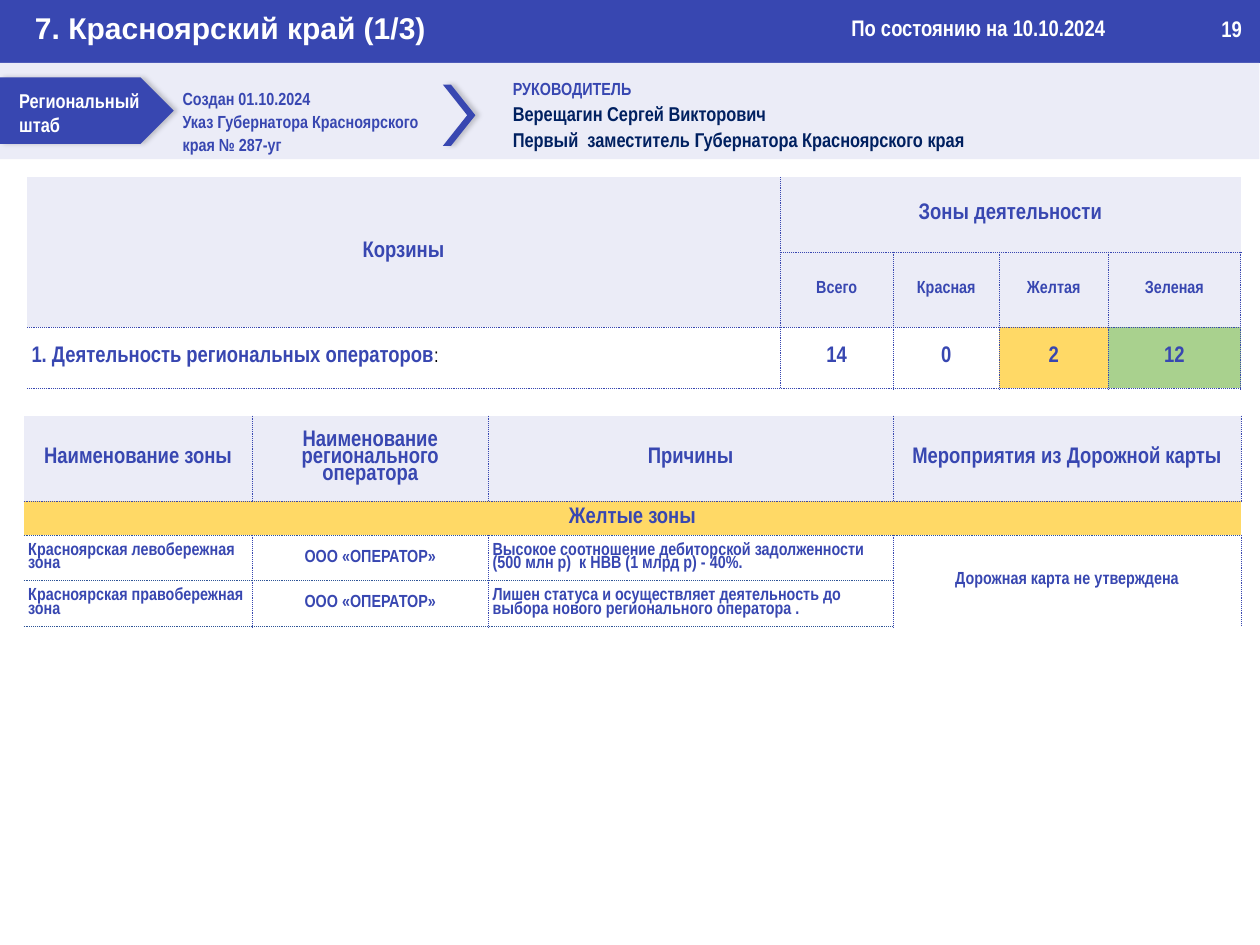
from lxml import etree
from pptx import Presentation
from pptx.dml.color import RGBColor
from pptx.enum.shapes import MSO_SHAPE
from pptx.enum.text import MSO_ANCHOR, PP_ALIGN
from pptx.oxml.ns import qn
from pptx.util import Pt

RECTANGLE = MSO_SHAPE.RECTANGLE
PENTAGON = MSO_SHAPE.PENTAGON
CHEVRON = MSO_SHAPE.CHEVRON
MIDDLE = MSO_ANCHOR.MIDDLE
LEFT, CENTER = PP_ALIGN.LEFT, PP_ALIGN.CENTER

COLORS = {
    "blue": "3847B1",
    "rule": "2F5597",
    "navy": "002060",
    "pale": "EBECF7",
    "yellow": "FFD966",
    "green": "A9D18E",
    "white": "FFFFFF",
    "black": "000000",
}
NARROW = "Arial Narrow"


def rgb(name):
    return RGBColor.from_string(COLORS[name])


def style_font(font, size, color, bold=True, name=NARROW):
    font.size = Pt(size)
    font.bold = bold
    font.name = name
    font.color.rgb = rgb(color)


def add_block(slide, kind, box, color, shadow=False):
    shape = slide.shapes.add_shape(kind, *map(Pt, box))
    shape.shadow.inherit = False
    shape.fill.solid()
    shape.fill.fore_color.rgb = rgb(color)
    shape.line.fill.background()
    if shadow:
        effects = shape._element.spPr.find(qn("a:effectLst"))
        outer = etree.SubElement(effects, qn("a:outerShdw"), blurRad=str(Pt(4)),
                                 dist=str(Pt(3)), dir="0", algn="l", rotWithShape="0")
        tint = etree.SubElement(outer, qn("a:srgbClr"), val=COLORS["black"])
        etree.SubElement(tint, qn("a:alpha"), val="20000")
    return shape


def add_text(slide, box, lines, spacing=None, name=NARROW, inset=7.2):
    frame = slide.shapes.add_textbox(*map(Pt, box)).text_frame
    frame.word_wrap = True
    frame.margin_left = Pt(inset)
    for index, (text, size, color) in enumerate(lines):
        paragraph = frame.add_paragraph() if index else frame.paragraphs[0]
        paragraph.text = text
        style_font(paragraph.font, size, color, name=name)
        if spacing:
            paragraph.line_spacing = spacing


def set_border(cell, side, color):
    properties = cell._tc.get_or_add_tcPr()
    line = etree.SubElement(properties, qn(f"a:ln{side}"), w=str(Pt(1)))
    if color is None:
        etree.SubElement(line, qn("a:noFill"))
        return
    fill = etree.SubElement(line, qn("a:solidFill"))
    etree.SubElement(fill, qn("a:srgbClr"), val=COLORS[color])
    etree.SubElement(line, qn("a:prstDash"), val="sysDot")


def set_borders(cell, row, column, owners, body_row):
    own = owners[row, column]
    row_color = "rule" if row >= body_row else "blue"
    bottom_color = "rule" if row + 1 > body_row else "blue"
    last_column = max(position[1] for position in owners)
    last_row = max(position[0] for position in owners)
    edges = (
        ("L", column > 0 and owners[row, column - 1] != own, "blue"),
        ("R", column == last_column or owners[row, column + 1] != own, "blue"),
        ("T", row > 0 and owners[row - 1, column] != own, row_color),
        ("B", row == last_row or owners[row + 1, column] != own, bottom_color),
    )
    for side, visible, color in edges:
        set_border(cell, side, color if visible else None)


def fill_cell(cell, text, size, color, align):
    cell.vertical_anchor = MIDDLE
    cell.margin_left = cell.margin_right = Pt(3.6)
    cell.margin_top = cell.margin_bottom = Pt(1.44)
    cell.fill.solid()
    cell.fill.fore_color.rgb = rgb(color)
    paragraph = cell.text_frame.paragraphs[0]
    paragraph.text = text
    paragraph.alignment = align
    paragraph.line_spacing = 0.8
    style_font(paragraph.font, size, "blue")


def add_grid(slide, left, top, widths, heights, cells, spans, body_row):
    table = slide.shapes.add_table(len(heights), len(widths), Pt(left), Pt(top),
                                   Pt(sum(widths)), Pt(sum(heights))).table
    table.first_row = table.horz_banding = False
    for column, width in zip(table.columns, widths):
        column.width = Pt(width)
    for row, height in zip(table.rows, heights):
        row.height = Pt(height)
    owners = {(row, column): (row, column)
              for row in range(len(heights)) for column in range(len(widths))}
    for (row, column), (down, across) in spans.items():
        table.cell(row, column).merge(table.cell(row + down - 1, column + across - 1))
        for position in owners:
            if row <= position[0] < row + down and column <= position[1] < column + across:
                owners[position] = (row, column)
    for position, own in owners.items():
        cell = table.cell(*position)
        set_borders(cell, *position, owners, body_row)
        text, size, color, align = cells[own]
        fill_cell(cell, text if position == own else "", size, color, align)
    return table


def add_header(slide, left, top, width, height):
    add_block(slide, RECTANGLE, (left, top, width, height), "blue")
    add_text(slide, (left, top + 4.3, width, 36),
             [("7. Красноярский край (1/3)", 24, "white")], name="Arial", inset=28)
    add_text(slide, (left + 970, top + 8.6, 37.5, 29), [("19", 18, "white")])
    add_text(slide, (left + 674, top + 8, 304.5, 29),
             [("По состоянию на 10.10.2024", 18, "white")])


def add_headquarters(slide, left, top, width, height):
    add_block(slide, RECTANGLE, (left, top, width, height), "pale")
    add_block(slide, PENTAGON, (left, top + 11.5, 139, 53.3), "blue", shadow=True)
    add_text(slide, (left + 8.3, top + 16.6, 118, 46), [("Региональный штаб", 16, "white")])
    add_text(slide, (left + 139, top + 14.4, 204, 63),
             [("Создан 01.10.2024", 14, "blue"),
              ("Указ Губернатора Красноярского края № 287-уг", 14, "blue")], 1.1)
    chevron = add_block(slide, CHEVRON, (left + 354.3, top + 17.3, 26, 49), "blue", shadow=True)
    chevron.adjustments[0] = 0.75
    add_text(slide, (left + 403.2, top + 6.5, 541, 68),
             [("РУКОВОДИТЕЛЬ", 14, "blue"),
              ("Верещагин Сергей Викторович", 16, "navy"),
              ("Первый  заместитель Губернатора Красноярского края", 16, "navy")], 1.1)


def add_baskets(slide, left, top):
    cells = {
        (0, 0): ("Корзины", 18, "pale", CENTER),
        (0, 1): ("Зоны деятельности", 18, "pale", CENTER),
        (2, 0): ("1. Деятельность региональных операторов", 18, "white", LEFT),
    }
    zones = (("Всего", "14", "white"), ("Красная", "0", "white"),
             ("Желтая", "2", "yellow"), ("Зеленая", "12", "green"))
    for column, (zone, count, color) in enumerate(zones, 1):
        cells[1, column] = (zone, 14, "pale", CENTER)
        cells[2, column] = (count, 18, color, CENTER)
    table = add_grid(slide, left, top, (602.5, 90.5, 85, 87, 106), (60, 60, 49), cells,
                     {(0, 0): (2, 1), (0, 1): (1, 4)}, 3)
    colon = table.cell(2, 0).text_frame.paragraphs[0].add_run()
    colon.text = ":"
    style_font(colon.font, 16, "black", bold=False)


def add_zones(slide, left, top):
    headings = ("Наименование зоны", "Наименование регионального оператора",
                "Причины", "Мероприятия из Дорожной карты")
    cells = {(0, column): (text, 18, "pale", CENTER) for column, text in enumerate(headings)}
    cells[1, 0] = ("Желтые зоны", 18, "yellow", CENTER)
    cells[2, 3] = ("Дорожная карта не утверждена", 14, "white", CENTER)
    zones = (
        ("Красноярская левобережная зона",
         "Высокое соотношение дебиторской задолженности (500 млн р)  к НВВ (1 млрд р) - 40%."),
        ("Красноярская правобережная зона",
         "Лишен статуса и осуществляет деятельность до выбора нового регионального оператора ."),
    )
    for row, (zone, reason) in enumerate(zones, 2):
        cells[row, 0] = (zone, 14, "white", LEFT)
        cells[row, 1] = ("ООО «ОПЕРАТОР»", 14, "white", CENTER)
        cells[row, 2] = (reason, 14, "white", LEFT)
    add_grid(slide, left, top, (183, 188.5, 324, 278.5), (68.4, 27.2, 36.6, 36.2), cells,
             {(1, 0): (1, 4), (2, 3): (2, 1)}, 2)


def main():
    presentation = Presentation()
    presentation.slide_width, presentation.slide_height = Pt(1008), Pt(756)
    slide = presentation.slides.add_slide(presentation.slide_layouts[6])
    add_header(slide, 0, 0, 1008, 50.4)
    add_headquarters(slide, 0, 50.4, 1007.5, 77)
    add_zones(slide, 19, 332.6)
    add_baskets(slide, 21.6, 141.8)
    presentation.save("out.pptx")


if __name__ == "__main__":
    main()
